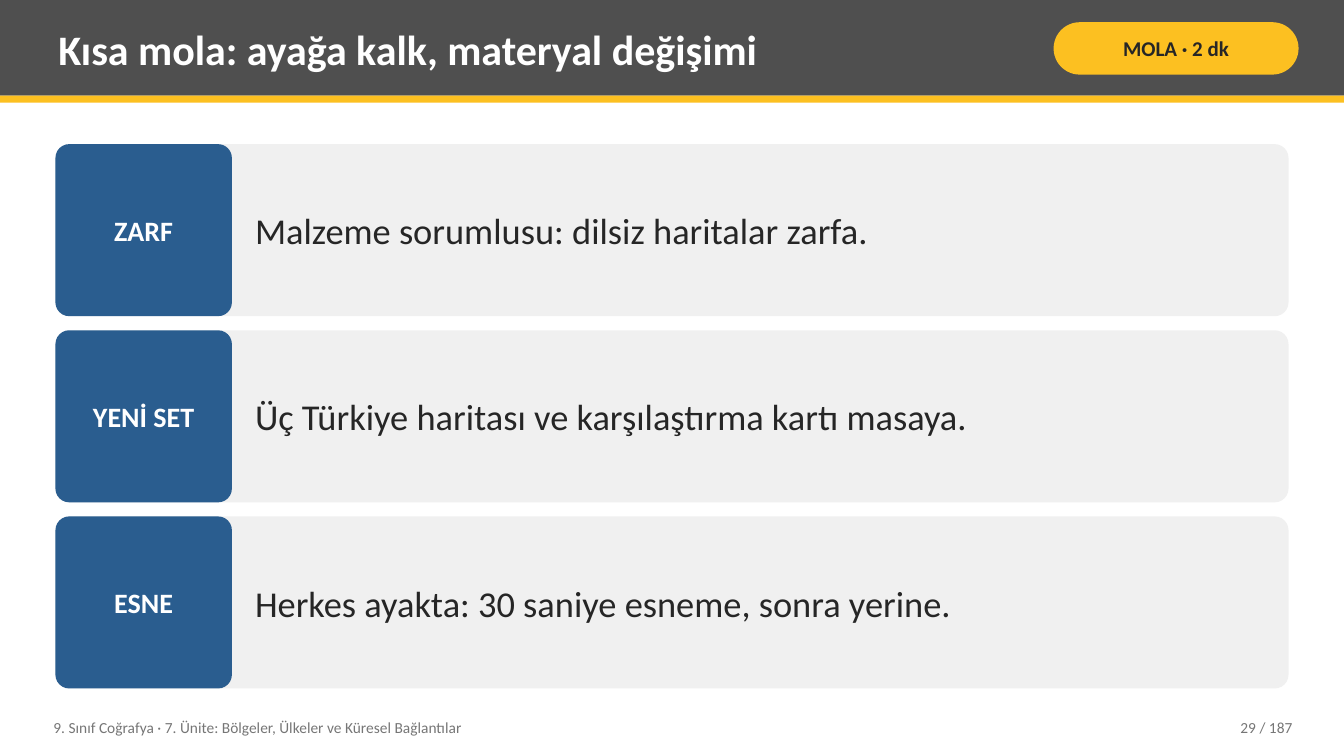
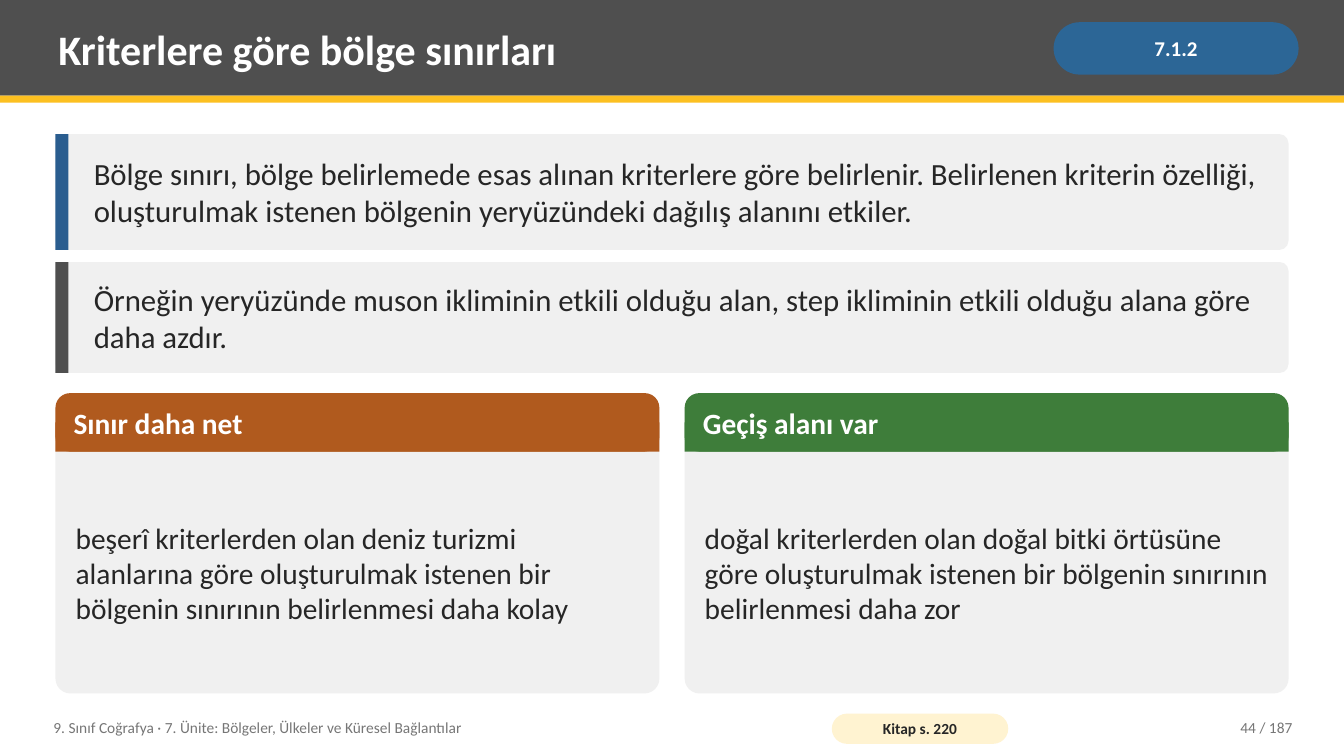
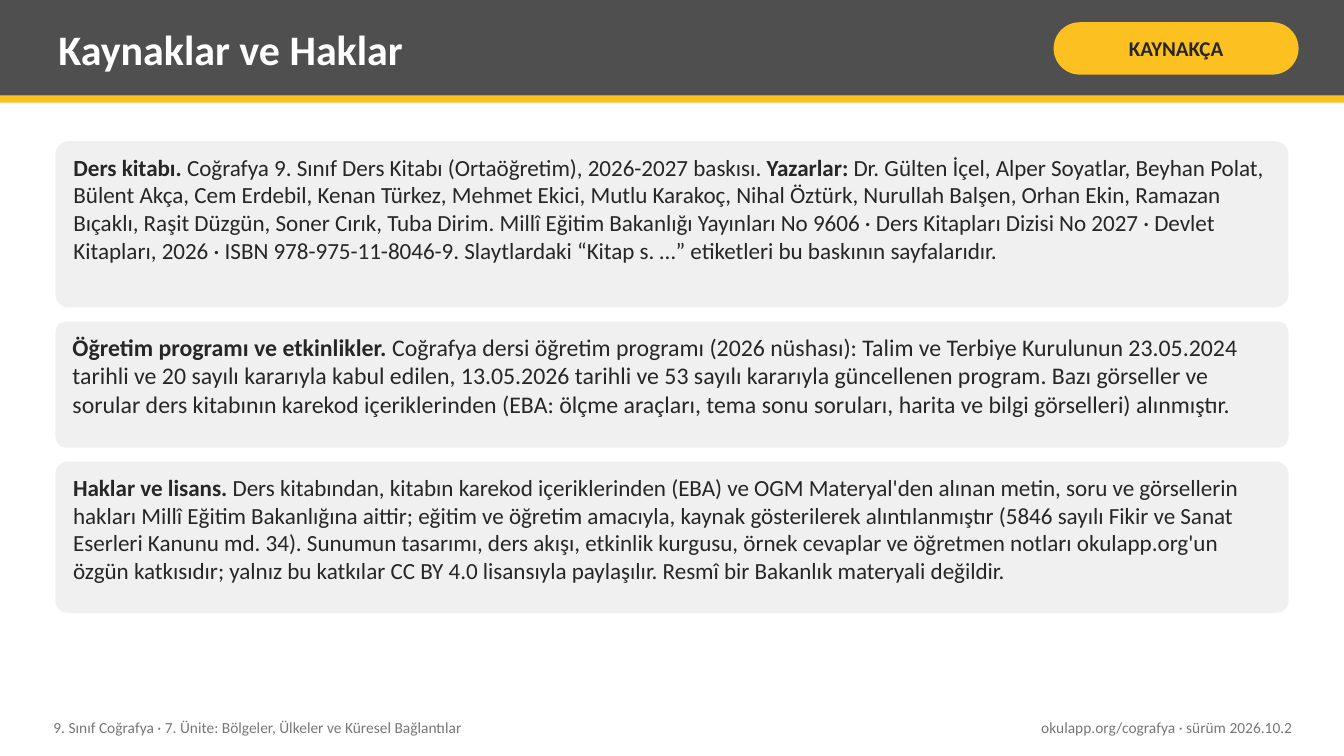
from pptx import Presentation
from pptx.dml.color import RGBColor
from pptx.enum.shapes import MSO_SHAPE
from pptx.enum.text import MSO_ANCHOR, MSO_AUTO_SIZE, PP_ALIGN
from pptx.util import Inches, Pt

C = {
    "band": "4F4F4F", "gold": "FCC021", "blue": "2A5D8F", "code": "2C6696",
    "panel": "F0F0F0", "ink": "262626", "white": "FFFFFF", "muted": "767676",
    "rust": "B05A1E", "green": "3E7D3A", "cream": "FFF3D1",
}
FONT = "Calibri"
W, H = 13.33, 7.5
MX = 0.55                      # side margin
CW = W - 2 * MX                # content width
PAD = (0.08, 0.04)             # usual text insets: sides, top and bottom
FOOTER = "9. Sınıf Coğrafya · 7. Ünite: Bölgeler, Ülkeler ve Küresel Bağlantılar"


def box(s, x, y, w, h, fill=None, adj=None):
    """Filled rectangle, rounded if adj is given; a text box without fill."""
    at = [Inches(v) for v in (x, y, w, h)]
    if fill is None:
        return s.shapes.add_textbox(*at)
    kind = MSO_SHAPE.RECTANGLE if adj is None else MSO_SHAPE.ROUNDED_RECTANGLE
    sp = s.shapes.add_shape(kind, *at)
    if adj is not None:
        sp.adjustments[0] = adj
    sp.fill.solid()
    sp.fill.fore_color.rgb = RGBColor.from_string(C[fill])
    sp.line.fill.background()
    sp.shadow.inherit = False
    return sp


def write(sp, runs, size, color="ink", align=PP_ALIGN.LEFT,
          anchor=MSO_ANCHOR.MIDDLE, pad=PAD):
    """One paragraph of (text, bold) runs."""
    tf = sp.text_frame
    tf.word_wrap = True
    tf.auto_size = MSO_AUTO_SIZE.NONE
    tf.vertical_anchor = anchor
    tf.margin_left = tf.margin_right = Inches(pad[0])
    tf.margin_top = tf.margin_bottom = Inches(pad[1])
    p = tf.paragraphs[0]
    p.alignment = align
    for text, bold in runs:
        r = p.add_run()
        r.text = text
        r.font.name, r.font.size, r.font.bold = FONT, Pt(size), bold
        r.font.color.rgb = RGBColor.from_string(C[color])


prs = Presentation()
prs.slide_width, prs.slide_height = Inches(W), Inches(H)
layout = prs.slide_layouts[5]

# Title place shared through the layout
title = layout.placeholders[0]
title.left, title.top = Inches(0.5), Inches(0.07)
title.width, title.height = Inches(9.75), Inches(0.82)

# Header and footer of every slide: title, tag, tag fill, tag text, right footer, its width
frames = [
    ("Kısa mola: ayağa kalk, materyal değişimi", "MOLA · 2 dk", "gold", "ink",
     "29 / 187", 1.6),
    ("Kriterlere göre bölge sınırları", "7.1.2", "code", "white", "44 / 187", 1.6),
    ("Kaynaklar ve Haklar", "KAYNAKÇA", "gold", "ink",
     "okulapp.org/cografya · sürüm 2026.10.2", 3.6),
]
slides = []
for heading, tag, tag_fill, tag_color, right, right_w in frames:
    s = prs.slides.add_slide(layout)
    box(s, 0, 0, W, 0.95, "band")
    box(s, 0, 0.95, W, 0.07, "gold")
    s.shapes._spTree.append(s.shapes.title._element)   # title above the band
    write(s.shapes.title, [(heading, True)], 30, "white")
    write(box(s, 10.45, 0.22, 2.43, 0.52, tag_fill, 0.5), [(tag, True)], 15,
          tag_color, PP_ALIGN.CENTER, pad=(0.05, 0.02))
    write(box(s, 0.45, 7.04, 7.6, 0.36), [(FOOTER, False)], 11, "muted")
    write(box(s, 12.9 - right_w, 7.04, right_w, 0.36), [(right, False)], 11,
          "muted", PP_ALIGN.RIGHT)
    slides.append(s)
break_slide, border_slide, source_slide = slides

# Break: three equal rows with a label each
steps = [
    ("ZARF", "Malzeme sorumlusu: dilsiz haritalar zarfa."),
    ("YENİ SET", "Üç Türkiye haritası ve karşılaştırma kartı masaya."),
    ("ESNE", "Herkes ayakta: 30 saniye esneme, sonra yerine."),
]
top, bottom, gap = 1.43, 6.83, 0.14
row_h = (bottom - top - gap * (len(steps) - 1)) / len(steps)
for i, (label, text) in enumerate(steps):
    y = top + i * (row_h + gap)
    box(break_slide, MX, y, CW, row_h, "panel", 0.08)
    write(box(break_slide, MX, y, 1.75, row_h, "blue", 0.08), [(label, True)], 20,
          "white", PP_ALIGN.CENTER, pad=(0.06, 0.08))
    write(box(break_slide, MX + 1.9, y, CW - 2, row_h), [(text, False)], 26)

# Borders: two statements with a side bar
statements = [
    (1.33, 1.15, "blue",
     "Bölge sınırı, bölge belirlemede esas alınan kriterlere göre belirlenir. "
     "Belirlenen kriterin özelliği, oluşturulmak istenen bölgenin yeryüzündeki "
     "dağılış alanını etkiler."),
    (2.6, 1.1, "band",
     "Örneğin yeryüzünde muson ikliminin etkili olduğu alan, step ikliminin etkili "
     "olduğu alana göre daha azdır."),
]
for y, h, bar, text in statements:
    box(border_slide, MX, y, CW, h, "panel", 0.08)
    box(border_slide, MX, y, 0.13, h, bar)
    write(box(border_slide, MX + 0.3, y, CW - 0.45, h), [(text, False)], 22)

# Borders: two cards side by side
cards = [
    ("Sınır daha net", "rust",
     "beşerî kriterlerden olan deniz turizmi alanlarına göre oluşturulmak istenen "
     "bir bölgenin sınırının belirlenmesi daha kolay"),
    ("Geçiş alanı var", "green",
     "doğal kriterlerden olan doğal bitki örtüsüne göre oluşturulmak istenen bir "
     "bölgenin sınırının belirlenmesi daha zor"),
]
gap, y, card_h, head_h = 0.25, 3.9, 2.98, 0.58
card_w = (CW - gap) / 2
for i, (head, fill, text) in enumerate(cards):
    x = MX + i * (card_w + gap)
    box(border_slide, x, y, card_w, card_h, "panel", 0.05)
    box(border_slide, x, y, card_w, head_h, fill, 0.25)
    box(border_slide, x, y + head_h / 2, card_w, head_h / 2, fill)
    write(box(border_slide, x + 0.1, y, card_w - 0.2, head_h), [(head, True)], 21, "white")
    write(box(border_slide, x + 0.12, y + head_h + 0.08, card_w - 0.24,
              card_h - head_h - 0.16), [(text, False)], 21)

# Borders: book page tag in the footer
write(box(border_slide, 8.25, 7.08, 1.75, 0.3, "cream", 0.5), [("Kitap s. 220", True)],
      11, align=PP_ALIGN.CENTER, pad=(0.04, 0))

# Sources: stacked panels of height, text size and runs
notes = [
    (1.65, 16.5, [
        ("Ders kitabı.", True),
        (" Coğrafya 9. Sınıf Ders Kitabı (Ortaöğretim), 2026-2027 baskısı. ", False),
        ("Yazarlar:", True),
        (" Dr. Gülten İçel, Alper Soyatlar, Beyhan Polat, Bülent Akça, Cem Erdebil, "
         "Kenan Türkez, Mehmet Ekici, Mutlu Karakoç, Nihal Öztürk, Nurullah Balşen, "
         "Orhan Ekin, Ramazan Bıçaklı, Raşit Düzgün, Soner Cırık, Tuba Dirim. Millî "
         "Eğitim Bakanlığı Yayınları No 9606 · Ders Kitapları Dizisi No 2027 · Devlet "
         "Kitapları, 2026 · ISBN 978-975-11-8046-9. Slaytlardaki “Kitap s. …” "
         "etiketleri bu baskının sayfalarıdır.", False),
    ]),
    (1.25, 17, [
        ("Öğretim programı ve etkinlikler.", True),
        (" Coğrafya dersi öğretim programı (2026 nüshası): Talim ve Terbiye Kurulunun "
         "23.05.2024 tarihli ve 20 sayılı kararıyla kabul edilen, 13.05.2026 tarihli ve "
         "53 sayılı kararıyla güncellenen program. Bazı görseller ve sorular ders "
         "kitabının karekod içeriklerinden (EBA: ölçme araçları, tema sonu soruları, "
         "harita ve bilgi görselleri) alınmıştır.", False),
    ]),
    (1.5, 16.5, [
        ("Haklar ve lisans.", True),
        (" Ders kitabından, kitabın karekod içeriklerinden (EBA) ve OGM Materyal'den "
         "alınan metin, soru ve görsellerin hakları Millî Eğitim Bakanlığına aittir; "
         "eğitim ve öğretim amacıyla, kaynak gösterilerek alıntılanmıştır (5846 sayılı "
         "Fikir ve Sanat Eserleri Kanunu md. 34). Sunumun tasarımı, ders akışı, etkinlik "
         "kurgusu, örnek cevaplar ve öğretmen notları okulapp.org'un özgün katkısıdır; "
         "yalnız bu katkılar CC BY 4.0 lisansıyla paylaşılır. Resmî bir Bakanlık "
         "materyali değildir.", False),
    ]),
]
y, gap = 1.4, 0.14
for h, size, runs in notes:
    write(box(source_slide, MX, y, CW, h, "panel", 0.08), runs, size,
          anchor=MSO_ANCHOR.TOP, pad=(0.14, 0.08))
    y += h + gap

prs.save("out.pptx")
